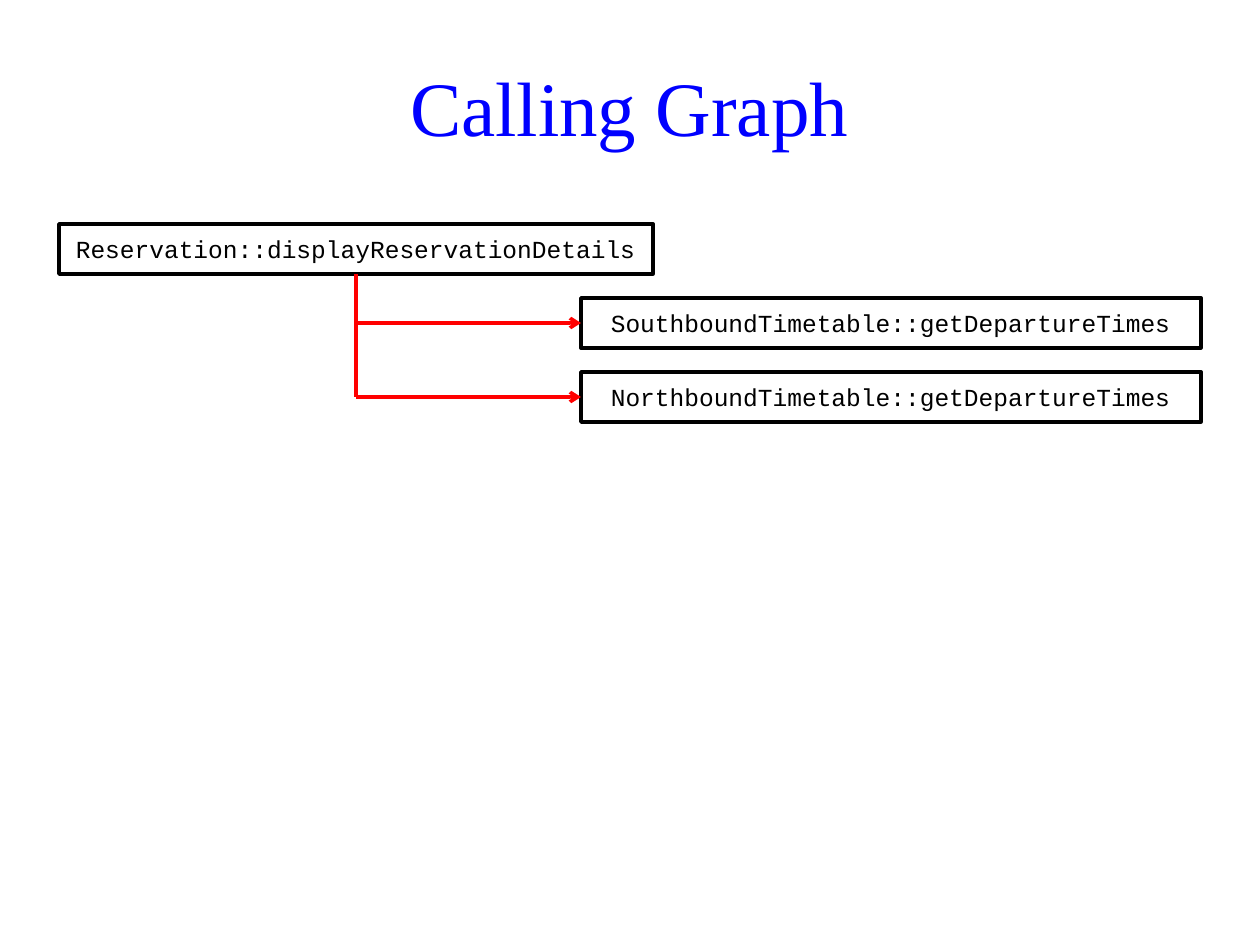
"""Build the calling graph slide."""
from lxml.etree import SubElement
from pptx import Presentation
from pptx.dml.color import RGBColor
from pptx.enum.shapes import MSO_CONNECTOR, MSO_SHAPE
from pptx.enum.text import MSO_ANCHOR, PP_ALIGN
from pptx.oxml.ns import qn
from pptx.util import Pt

PX = 914400 / 126
BLUE = RGBColor(0x00, 0x00, 0xFF)
BLACK = RGBColor(0x00, 0x00, 0x00)
RED = RGBColor(0xFF, 0x00, 0x00)
TOP, STEP, HIGH = 224, 74, 50
TRUNK = 356
CALLER = ("Reservation::displayReservationDetails", 59, 594)
CALLEES = [
    ("SouthboundTimetable::getDepartureTimes", 581, 620),
    ("NorthboundTimetable::getDepartureTimes", 581, 620),
]


def write(shape, text, font, size, color, space=None):
    frame = shape.text_frame
    frame.word_wrap = True
    frame.vertical_anchor = MSO_ANCHOR.MIDDLE
    para = frame.paragraphs[0]
    para.alignment = PP_ALIGN.CENTER
    para.line_spacing = space
    run = para.add_run()
    run.text = text
    run.font.name = font
    run.font.size = Pt(size)
    run.font.color.rgb = color


def link(x1, y1, x2, y2, arrow=False):
    ends = [round(v * PX) for v in (x1, y1, x2, y2)]
    line = slide.shapes.add_connector(MSO_CONNECTOR.STRAIGHT, *ends)
    line.line.color.rgb = RED
    line.line.width = Pt(2)
    if arrow:
        SubElement(line.line._get_or_add_ln(), qn("a:tailEnd"), type="arrow")
    SubElement(line._element.spPr, qn("a:effectLst"))
    return line


deck = Presentation()
deck.slide_width, deck.slide_height = round(1260 * PX), round(945 * PX)
slide = deck.slides.add_slide(deck.slide_layouts[5])

title = slide.shapes.title
title.left, title.top, title.width, title.height = [
    round(v * PX) for v in (34, 50, 1191, 123)
]
write(title, "Calling Graph", "Times New Roman", 44, BLUE, space=0.9)

boxes = []
for row, (name, left, wide) in enumerate([CALLER] + CALLEES):
    place = [round(v * PX) for v in (left, TOP + row * STEP, wide, HIGH)]
    box = slide.shapes.add_shape(MSO_SHAPE.FLOWCHART_PROCESS, *place)
    box.shadow.inherit = False
    box.fill.background()
    box.line.color.rgb = BLACK
    box.line.width = Pt(2)
    write(box, name, "Courier New", 14, BLACK)
    boxes.append(box)

mids = [TOP + row * STEP + HIGH // 2 for row in range(len(boxes))]
trunk = link(TRUNK, TOP + HIGH, TRUNK, mids[-1])
trunk.begin_connect(boxes[0], 2)
for box, mid, (name, left, wide) in zip(boxes[1:], mids[1:], CALLEES):
    call = link(TRUNK, mid, left, mid, arrow=True)
    call.end_connect(box, 1)

deck.save("out.pptx")
